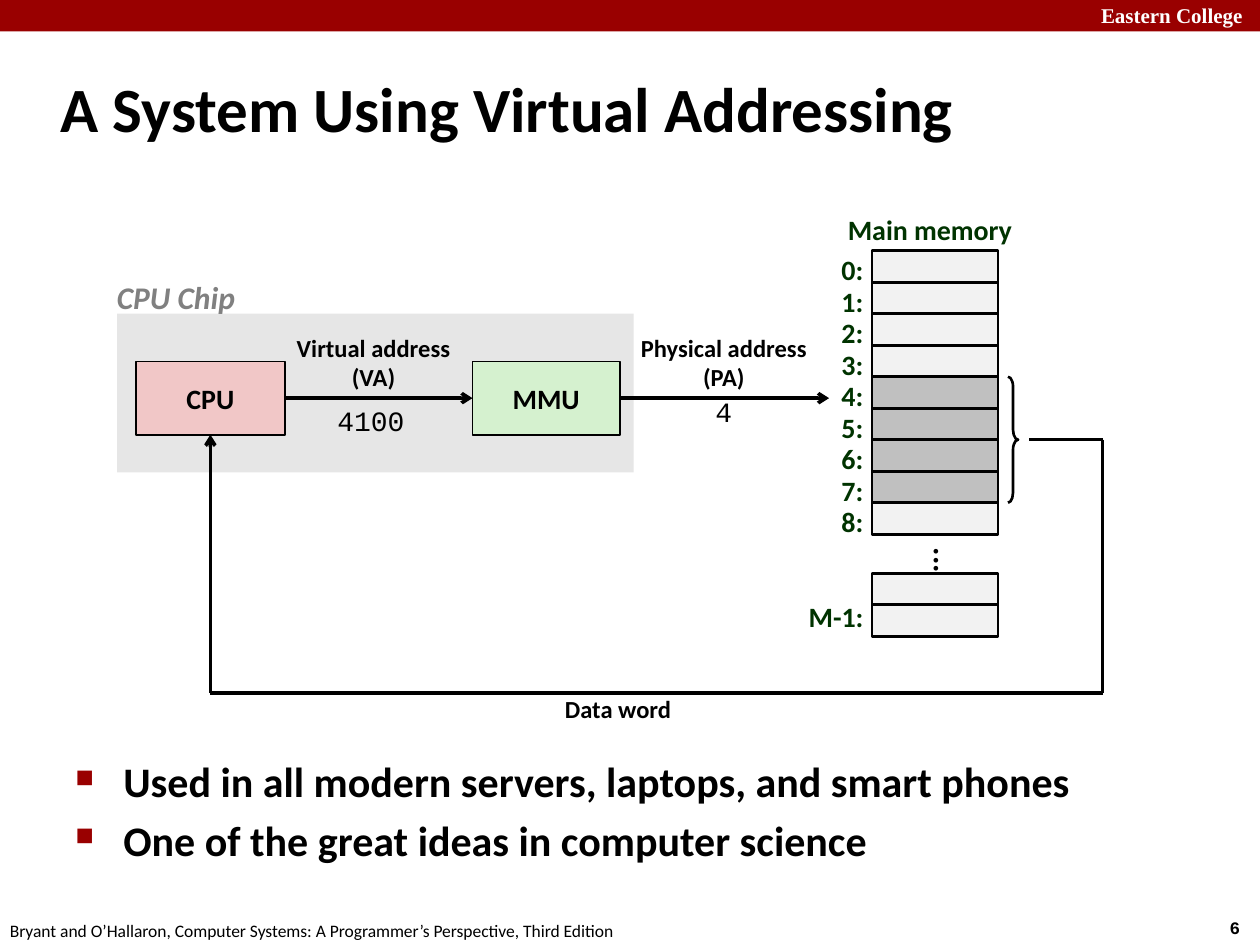
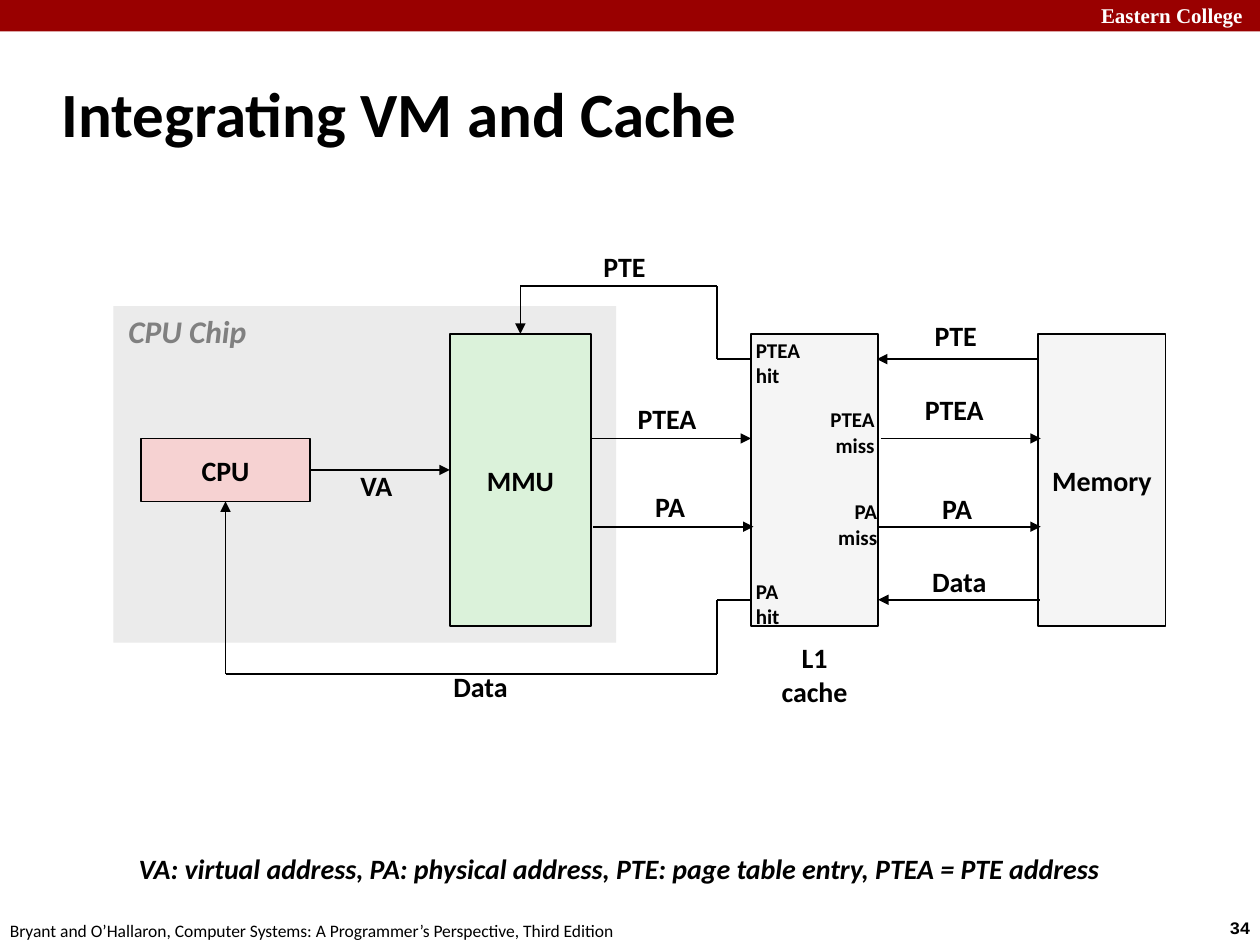
import dataclasses
from typing import Optional, Sequence

import lxml.etree
import pptx
import pptx.dml.color
import pptx.enum.shapes
import pptx.enum.text
import pptx.oxml.ns
import pptx.util
from pptx.util import Inches

SHAPE = pptx.enum.shapes.MSO_SHAPE
ALIGN = pptx.enum.text.PP_ALIGN
ANCHOR = pptx.enum.text.MSO_ANCHOR
BOTTOM, RIGHT, LEFT, TOP = 2, 3, 1, 0
TITLE_ONLY = 5


@dataclasses.dataclass(frozen=True)
class Theme:
    black: str = "000000"
    white: str = "FFFFFF"
    red: str = "990000"
    green: str = "003300"
    grey: str = "808080"
    cell: str = "F2F2F2"
    used_cell: str = "C0C0C0"
    body_font: str = "Calibri"
    code_font: str = "Courier New"
    band_font: str = "Times New Roman"
    title_size: int = 36
    bullet_size: int = 24
    chip_size: int = 18
    label_size: int = 16
    address_size: int = 14
    small_size: int = 12
    footer_size: int = 10


THEME = Theme()


@dataclasses.dataclass(frozen=True)
class Style:
    size: int = THEME.label_size
    color: str = THEME.black
    font: str = THEME.body_font
    bold: bool = True
    italic: bool = False
    align: ALIGN = ALIGN.LEFT
    anchor: ANCHOR = ANCHOR.TOP
    spacing: float = 1.0
    before: float = 0
    inset: tuple[float, float] = (0.1, 0.05)
    wrap: bool = False


TITLE = Style(THEME.title_size, anchor=ANCHOR.MIDDLE, wrap=True)
BAND = Style(THEME.small_size, THEME.white, THEME.band_font, wrap=True)
PAGE_NUMBER = Style(THEME.footer_size, font=THEME.code_font)
FOOTER = Style(THEME.footer_size, bold=False)
BULLETS = Style(THEME.bullet_size, before=4.8, wrap=True)
CHIP = Style(THEME.chip_size, THEME.grey, italic=True)
BLOCK = Style(align=ALIGN.CENTER, anchor=ANCHOR.MIDDLE)
MEMORY = Style(color=THEME.green, spacing=0.88, before=6)
MEMORY_HEAD = dataclasses.replace(MEMORY, align=ALIGN.CENTER)
ADDRESS = dataclasses.replace(BLOCK, size=THEME.address_size, spacing=0.98)
ELLIPSIS = dataclasses.replace(ADDRESS, size=THEME.chip_size)
CODE = Style(font=THEME.code_font, bold=False)
SIGNAL = Style(anchor=ANCHOR.MIDDLE)
TIGHT = Style(spacing=0.85, inset=(0.07, 0.03))
LEGEND = dataclasses.replace(TIGHT, italic=True)
HIT = Style(THEME.small_size, anchor=ANCHOR.MIDDLE)
MISS = dataclasses.replace(HIT, align=ALIGN.RIGHT)


@dataclasses.dataclass(frozen=True)
class Label:
    text: str
    left: float
    top: float
    width: float
    height: float
    style: Style


@dataclasses.dataclass(frozen=True)
class Block:
    left: float
    top: float
    width: float
    height: float
    fill: str
    line: Optional[float] = 1
    text: str = ""


@dataclasses.dataclass(frozen=True)
class Route:
    """A line through points; start and end may name a block and its side."""
    points: Sequence[tuple[float, float]]
    start: Optional[tuple[str, int]] = None
    end: Optional[tuple[str, int]] = None


def rgb(color: str) -> pptx.dml.color.RGBColor:
    return pptx.dml.color.RGBColor.from_string(color)


def add_xml(parent, tag: str, **attributes: str):
    return lxml.etree.SubElement(parent, pptx.oxml.ns.qn(tag), attributes)


def write_text(shape, text: str, style: Style) -> None:
    frame = shape.text_frame
    frame.text = text
    frame.word_wrap = style.wrap
    frame.auto_size = pptx.enum.text.MSO_AUTO_SIZE.NONE
    frame.vertical_anchor = style.anchor
    frame.margin_left = frame.margin_right = Inches(style.inset[0])
    frame.margin_top = frame.margin_bottom = Inches(style.inset[1])
    for para in frame.paragraphs:
        para.alignment = style.align
        para.line_spacing = style.spacing
        para.space_before = pptx.util.Pt(style.before)
        font = para.font
        font.name, font.size = style.font, pptx.util.Pt(style.size)
        font.bold, font.italic = style.bold, style.italic
        font.color.rgb = rgb(style.color)


def add_label(page, label: Label):
    box = page.shapes.add_textbox(Inches(label.left), Inches(label.top),
                                  Inches(label.width), Inches(label.height))
    write_text(box, label.text, label.style)
    return box


def add_block(page, block: Block):
    shape = page.shapes.add_shape(SHAPE.RECTANGLE, Inches(block.left), Inches(block.top),
                                  Inches(block.width), Inches(block.height))
    shape.shadow.inherit = False
    shape.fill.solid()
    shape.fill.fore_color.rgb = rgb(block.fill)
    if block.line is None:
        shape.line.fill.background()
    else:
        shape.line.color.rgb = rgb(THEME.black)
        shape.line.width = pptx.util.Pt(block.line)
    if block.text:
        write_text(shape, block.text, BLOCK)
    return shape


def add_route(page, route: Route, blocks: dict, width: float, arrow: str) -> None:
    """Draw straight connectors from point to point, with an arrowhead on the last."""
    connector = None
    for begin, end in zip(route.points, route.points[1:]):
        connector = page.shapes.add_connector(
            pptx.enum.shapes.MSO_CONNECTOR.STRAIGHT,
            *(Inches(value) for value in (*begin, *end)))
        connector.line.color.rgb = rgb(THEME.black)
        connector.line.width = pptx.util.Pt(width)
        add_xml(connector.element.spPr, "a:effectLst")
        if route.start and begin == route.points[0]:
            connector.begin_connect(blocks[route.start[0]], route.start[1])
    add_xml(connector.line._get_or_add_ln(), "a:tailEnd", type=arrow)
    if route.end:
        connector.end_connect(blocks[route.end[0]], route.end[1])


def add_bullets(page, label: Label) -> None:
    box = add_label(page, label)
    for para in box.text_frame.paragraphs:
        properties = para._p.get_or_add_pPr()
        properties.set("marL", str(Inches(0.38)))
        properties.set("indent", str(-Inches(0.38)))
        font_defaults = properties.find(pptx.oxml.ns.qn("a:defRPr"))
        color = add_xml(properties, "a:buClr")
        add_xml(color, "a:srgbClr", val=THEME.red)
        size = add_xml(properties, "a:buSzPct", val="60000")
        mark = add_xml(properties, "a:buChar", char="■")
        for element in (color, size, mark):
            font_defaults.addprevious(element)


def start_page(deck, title: Label, number: int):
    """Add a page with its title, top band and footer."""
    page = deck.slides.add_slide(deck.slide_layouts[TITLE_ONLY])
    heading = page.shapes.title
    heading.left, heading.top = Inches(title.left), Inches(title.top)
    heading.width, heading.height = Inches(title.width), Inches(title.height)
    write_text(heading, title.text, title.style)
    add_block(page, Block(0, 0, 10, 0.25, THEME.red, None))
    for label in (
        Label("Eastern College", 8.64, -0.03, 1.43, 0.3, BAND),
        Label(str(number), 9.66, 7.23, 0.45, 0.27, PAGE_NUMBER),
        Label("Bryant and O’Hallaron, Computer Systems: A Programmer’s Perspective, "
              "Third Edition", -0.02, 7.25, 5.08, 0.27, FOOTER),
    ):
        add_label(page, label)
    return page


def draw_diagram(page, blocks: dict[str, Block], routes: Sequence[Route],
                 labels: Sequence[Label], width: float, arrow: str) -> None:
    shapes = {name: add_block(page, block) for name, block in blocks.items()}
    for route in routes:
        add_route(page, route, shapes, width, arrow)
    for label in labels:
        add_label(page, label)


def draw_main_memory(page) -> None:
    left, top, row = 6.92, 1.99, 0.25
    add_label(page, Label("Main memory", 6.62, 1.67, 1.52, 0.33, MEMORY_HEAD))
    for index in range(9):
        y = top + index * row
        fill = THEME.used_cell if 4 <= index <= 7 else THEME.cell
        add_block(page, Block(left, y, 1, row, fill, 1.5))
        add_label(page, Label(f"{index}:", 6.58, y, 0.37, 0.33, MEMORY))
    for index in range(2):
        add_block(page, Block(left, 4.55 + index * row, 1, row, THEME.cell, 1.5))
    add_label(page, Label("M-1:", 6.32, 4.74, 0.64, 0.33, MEMORY))
    dots = add_label(page, Label("...", 7, 4.25, 1, 0.25, ELLIPSIS))
    dots.text_frame._txBody.bodyPr.set("vert", "eaVert")
    brace = page.shapes.add_shape(SHAPE.RIGHT_BRACE, Inches(8), Inches(top + 4 * row),
                                  Inches(0.08), Inches(4 * row))
    brace.adjustments[0] = 1
    brace.shadow.inherit = False
    brace.fill.background()
    brace.line.color.rgb = rgb(THEME.black)
    brace.line.width = pptx.util.Pt(1.5)


def build_addressing_page(deck) -> None:
    page = start_page(deck, Label("A System Using Virtual Addressing",
                                  0.38, 0.42, 9.53, 0.86, TITLE), 6)
    blocks = {
        "chip": Block(0.93, 2.49, 4.1, 1.26, "E6E6E6", None),
        "cpu": Block(1.08, 2.87, 1.18, 0.58, "F1C7C7", text="CPU"),
        "mmu": Block(3.75, 2.87, 1.17, 0.58, "D5F1CF", text="MMU"),
    }
    routes = [
        Route([(2.26, 3.16), (3.75, 3.16)], ("cpu", RIGHT), ("mmu", LEFT)),
        Route([(4.92, 3.16), (6.58, 3.16)], ("mmu", RIGHT)),
        Route([(8.17, 3.49), (8.75, 3.49), (8.75, 5.5), (1.67, 5.5), (1.67, 3.45)],
              end=("cpu", BOTTOM)),
    ]
    labels = [
        Label("CPU Chip", 0.83, 2.16, 1.16, 0.4, CHIP),
        Label("Virtual address\n(VA)", 2.25, 2.6, 1.43, 0.57, ADDRESS),
        Label("Physical address\n(PA)", 4.98, 2.6, 1.53, 0.57, ADDRESS),
        Label("4100", 2.58, 3.15, 0.74, 0.37, CODE),
        Label("4", 5.58, 3.08, 0.34, 0.37, CODE),
        Label("Data word", 4.38, 5.47, 1.05, 0.33, ADDRESS),
    ]
    draw_diagram(page, blocks, routes, labels, 2, "arrow")
    draw_main_memory(page)
    add_bullets(page, Label("Used in all modern servers, laptops, and smart phones\n"
                            "One of the great ideas in computer science",
                            0.5, 5.95, 9.09, 1.38, BULLETS))


def build_cache_page(deck) -> None:
    page = start_page(deck, Label("Integrating VM and Cache",
                                  0.39, 0.48, 8.3, 0.83, TITLE), 34)
    blocks = {
        "chip": Block(0.9, 2.43, 3.99, 2.67, "EBEBEB", None),
        "cpu": Block(1.12, 3.48, 1.34, 0.5, "F6D2D2", text="CPU"),
        "mmu": Block(3.57, 2.65, 1.12, 2.32, "DBF2DA", text="MMU"),
        "cache": Block(5.96, 2.65, 1.01, 2.32, "F5F5F5"),
        "memory": Block(8.24, 2.65, 1.01, 2.32, "F5F5F5", text="Memory"),
    }
    routes = [
        Route([(2.46, 3.73), (3.57, 3.73)], ("cpu", RIGHT)),
        Route([(4.69, 3.48), (5.96, 3.48)]),
        Route([(4.71, 4.18), (5.98, 4.18)]),
        Route([(6.99, 3.48), (8.26, 3.48)]),
        Route([(6.97, 4.18), (8.26, 4.18)]),
        Route([(8.24, 2.85), (6.96, 2.85)]),
        Route([(8.25, 4.76), (6.97, 4.76)]),
        Route([(5.96, 2.85), (5.69, 2.85), (5.69, 2.27), (4.13, 2.27), (4.13, 2.65)],
              end=("mmu", TOP)),
        Route([(5.96, 4.76), (5.69, 4.76), (5.69, 5.35), (1.79, 5.35), (1.79, 3.98)],
              end=("cpu", BOTTOM)),
    ]
    labels = [
        Label("CPU Chip", 0.92, 2.43, 1.21, 0.4, CHIP),
        Label("VA", 2.79, 3.73, 0.42, 0.29, TIGHT),
        Label("PTEA", 4.99, 3.2, 0.62, 0.29, TIGHT),
        Label("PA", 5.13, 3.9, 0.38, 0.29, TIGHT),
        Label("PTEA", 7.27, 3.13, 0.62, 0.29, TIGHT),
        Label("PTE", 4.69, 1.93, 0.54, 0.37, SIGNAL),
        Label("PTE", 7.32, 2.48, 0.54, 0.37, SIGNAL),
        Label("PA", 7.38, 3.85, 0.44, 0.37, SIGNAL),
        Label("Data", 7.3, 4.43, 0.64, 0.37, SIGNAL),
        Label("Data", 3.5, 5.26, 0.64, 0.37, SIGNAL),
        Label("PTEA\nhit", 5.9, 2.63, 0.55, 0.5, HIT),
        Label("PA\nhit", 5.9, 4.54, 0.39, 0.5, HIT),
        Label("PTEA\nmiss", 6.49, 3.18, 0.55, 0.5, MISS),
        Label("PA\nmiss", 6.54, 3.91, 0.52, 0.5, MISS),
        Label("L1\ncache", 6.1, 5.03, 0.73, 0.64, BLOCK),
        Label("VA: virtual address, PA: physical address, PTE: page table entry, "
              "PTEA = PTE address", 1.03, 6.77, 7.92, 0.29, LEGEND),
    ]
    draw_diagram(page, blocks, routes, labels, 1, "triangle")


def main() -> None:
    deck = pptx.Presentation()
    deck.slide_width, deck.slide_height = Inches(10), Inches(7.5)
    build_addressing_page(deck)
    build_cache_page(deck)
    deck.save("out.pptx")


if __name__ == "__main__":
    main()
